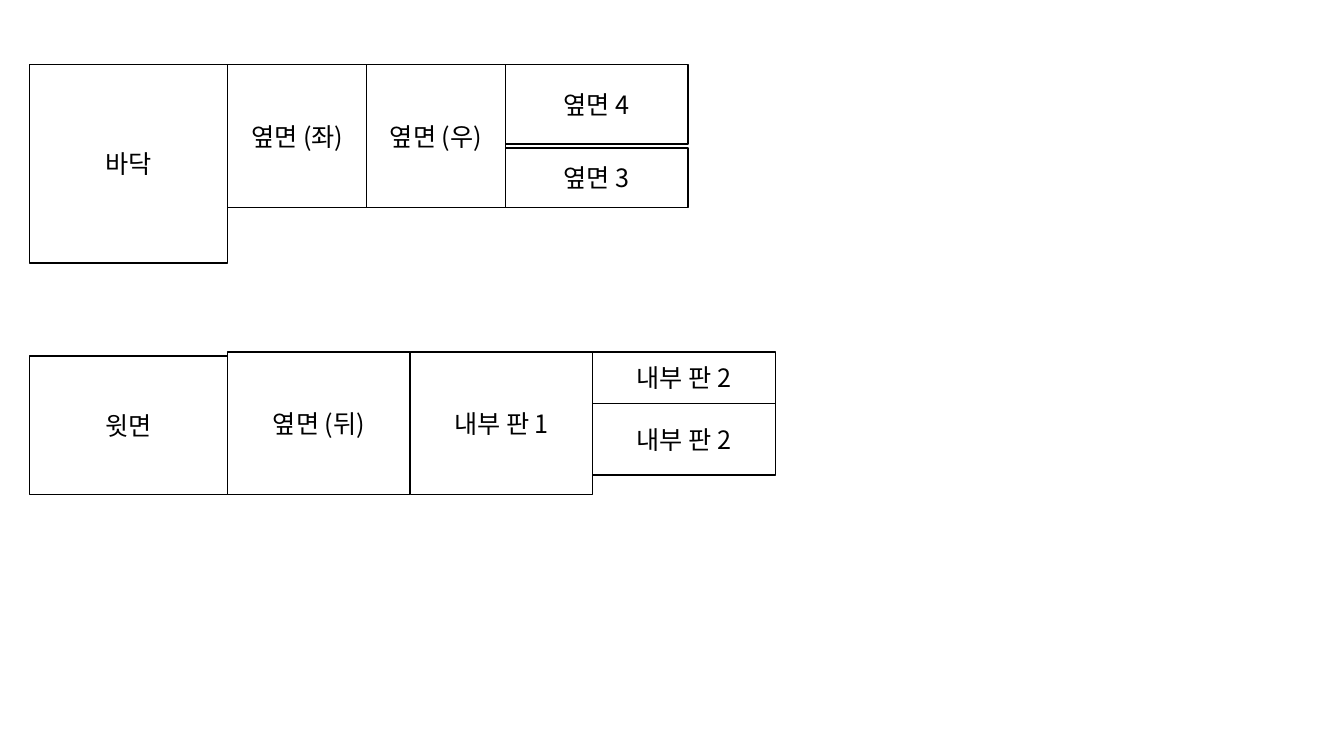
from lxml.etree import SubElement
from pptx import Presentation
from pptx.dml.color import RGBColor as RGB
from pptx.enum.shapes import MSO_SHAPE as SHAPE
from pptx.enum.text import MSO_ANCHOR as ANCHOR, PP_ALIGN as ALIGN
from pptx.oxml.ns import qn
from pptx.util import Pt

FONT = "Noto Sans CJK KR"
INK = "000000"
PAPER = "FFFFFF"
LEFT = 20.9
GAP = 2.8
WIDE, MID, SLIM = 141.75, 130.4, 99.2
TALL = 102.05

TOP_ROW = [
    (WIDE, 0, [("바닥", 141.75)]),
    (SLIM, 0, [("옆면 (좌)", TALL)]),
    (SLIM, 0, [("옆면 (우)", TALL)]),
    (MID, GAP, [("옆면 4", 56.7), ("옆면 3", 42.5)]),
]
LOW_ROW = [
    (MID, 0, [("옆면 (뒤)", TALL)]),
    (MID, 0, [("내부 판 1", TALL)]),
    (MID, 0, [("내부 판 2", 36.85), ("내부 판 2", 51)]),
]


def paint(color, code):
    color.rgb = RGB.from_string(code)


def style(run):
    font = run.font
    font.name = FONT
    font.size = Pt(18)
    paint(font.color, INK)
    SubElement(run._r.get_or_add_rPr(), qn("a:ea"), typeface=FONT)


def panel(slide, text, x, y, width, height):
    shape = slide.shapes.add_shape(SHAPE.RECTANGLE, Pt(x), Pt(y), Pt(width), Pt(height))
    shape.shadow.inherit = False
    shape.fill.solid()
    paint(shape.fill.fore_color, PAPER)
    shape.line.width = Pt(1)
    paint(shape.line.color, INK)
    frame = shape.text_frame
    frame.word_wrap = True
    frame.vertical_anchor = ANCHOR.MIDDLE
    frame.text = text
    para = frame.paragraphs[0]
    para.alignment = ALIGN.CENTER
    style(para.runs[0])


def row(slide, x, top, stacks):
    for width, gap, parts in stacks:
        y = top
        for text, height in parts:
            panel(slide, text, x, y, width, height)
            y += height + gap
        x += width


def main():
    deck = Presentation()
    deck.slide_width = Pt(960)
    deck.slide_height = Pt(540)
    slide = deck.slides.add_slide(deck.slide_layouts[6])
    row(slide, LEFT, 46.1, TOP_ROW)
    low = 251.4
    panel(slide, "윗면", LEFT, low + GAP, WIDE, TALL - GAP)
    row(slide, LEFT + WIDE, low, LOW_ROW)
    deck.save("out.pptx")


if __name__ == "__main__":
    main()
